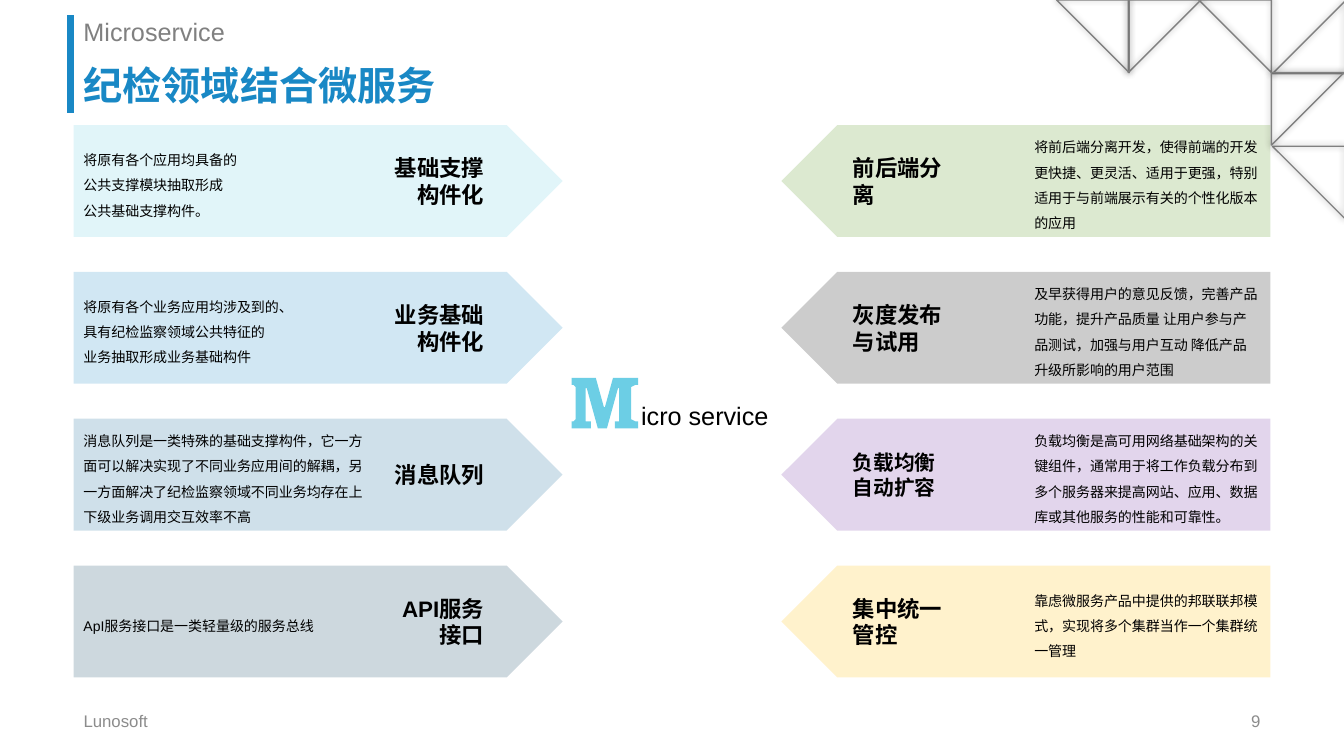
from lxml import etree
from pptx import Presentation
from pptx.dml.color import RGBColor
from pptx.enum import shapes, text
from pptx.oxml import parse_xml
from pptx.oxml.ns import nsdecls, qn
from pptx.util import Inches, Pt

BLUE, SKY, GREY, FOOTER, BLACK = "1988C5", "6CCEE5", "808080", "8C8C8C", "000000"
LEFT, RIGHT = text.PP_ALIGN.LEFT, text.PP_ALIGN.RIGHT
TOP, MIDDLE, BOTTOM = text.MSO_ANCHOR.TOP, text.MSO_ANCHOR.MIDDLE, text.MSO_ANCHOR.BOTTOM

# (colour, heading lines, heading size, description paragraphs)
LEFT_ARROWS = [
    (SKY, ["基础支撑构件化"], 16,
     ["将原有各个应用均具备的", "公共支撑模块抽取形成", "公共基础支撑构件。"]),
    (BLUE, ["业务基础构件化"], 16,
     ["将原有各个业务应用均涉及到的、", "具有纪检监察领域公共特征的", "业务抽取形成业务基础构件"]),
    ("116497", ["消息队列"], 16,
     ["消息队列是一类特殊的基础支撑构件，它一方面可以解决实现了不同业务应用间的解耦，"
      "另一方面解决了纪检监察领域不同业务均存在上下级业务调用交互效率不高"]),
    ("093C5B", ["API服务接口"], 16, ["ApI服务接口是一类轻量级的服务总线"]),
]
RIGHT_ARROWS = [
    ("549118", ["前后端分离"], 16,
     ["将前后端分离开发，使得前端的开发更快捷、更灵活、适用于更强，"
      "特别适用于与前端展示有关的个性化版本的应用"]),
    (BLACK, ["灰度发布与试用"], 16,
     ["及早获得用户的意见反馈，完善产品功能，提升产品质量 让用户参与产品测试，"
      "加强与用户互动 降低产品升级所影响的用户范围"]),
    ("7030A0", ["负载均衡", "自动扩容"], 14.8,
     ["负载均衡是高可用网络基础架构的关键组件，通常用于将工作负载分布到多个服务器"
      "来提高网站、应用、数据库或其他服务的性能和可靠性。"]),
    ("FFC000", ["集中统一管控"], 16,
     ["靠虑微服务产品中提供的邦联联邦模式，实现将多个集群当作一个集群统一管理"]),
]
# Left edges: arrow, heading, description; then description width, heading alignment, mirrored
SIDES = [
    (LEFT_ARROWS, 0.73, 3.71, 0.73, 2.97, RIGHT, False),
    (RIGHT_ARROWS, 7.75, 8.36, 10.16, 2.43, LEFT, True),
]
ROW_TOP, ROW_STEP, ARROW_W, ARROW_H = 1.24, 1.457, 4.85, 1.11

# Corner pattern: left, top, rotation
TRIANGLES = [(12.62, 0.01, 180), (11.89, 0, 90), (11.19, 0, 0),
             (10.48, 0, 90), (12.62, 1.45, 90), (12.61, 0.72, 0)]
TRIANGLE_SIZE = 0.72

# Slab letter M, in hundredths of an inch
LETTER_M = [
    (633, 382), (630, 382), (626, 384), (626, 416), (630, 418), (633, 418), (633, 425),
    (610, 425), (610, 418), (614, 418), (614, 385), (613, 385), (602, 425), (593, 425),
    (582, 385), (581, 385), (581, 418), (586, 418), (586, 425), (567, 425), (567, 418),
    (569, 418), (571, 416), (571, 384), (569, 382), (567, 382), (567, 375), (591, 375),
    (599, 404), (600, 404), (608, 375), (633, 375),
]

prs = Presentation()
prs.slide_width, prs.slide_height = Inches(13.33), Inches(7.5)
s = prs.slides.add_slide(prs.slide_layouts[6])


def rgb(value):
    return RGBColor.from_string(value)


def fill(sp, colour, alpha=None):
    """Fill without outline; alpha is the opacity in percent."""
    sp.shadow.inherit = False
    sp.fill.solid()
    sp.fill.fore_color.rgb = rgb(colour)
    sp.line.fill.background()
    if alpha:
        clr = sp._element.spPr.find(qn("a:solidFill"))[0]
        etree.SubElement(clr, qn("a:alpha")).set("val", str(alpha * 1000))


def flip(sp, axis):
    sp._element.spPr.find(qn("a:xfrm")).set("flip" + axis, "1")


def add_text(box, lines, size, colour=BLACK, bold=False, align=LEFT,
             anchor=MIDDLE, spacing=None, wrap=True):
    tf = s.shapes.add_textbox(*map(Inches, box)).text_frame
    tf.word_wrap = wrap
    tf.vertical_anchor = anchor
    for i, line in enumerate(lines):
        p = tf.paragraphs[0] if i == 0 else tf.add_paragraph()
        p.alignment = align
        if spacing:
            p.line_spacing = spacing
        r = p.add_run()
        r.text = line
        r.font.name, r.font.size, r.font.bold = "Arial", Pt(size), bold
        r.font.color.rgb = rgb(colour)


def add_triangle(left, top, rotation):
    sp = s.shapes.add_shape(shapes.MSO_SHAPE.RIGHT_TRIANGLE, Inches(left), Inches(top),
                            Inches(TRIANGLE_SIZE), Inches(TRIANGLE_SIZE))
    sp.rotation = rotation
    flip(sp, "V")
    sp.fill.background()
    sp.line.color.rgb = rgb(GREY)
    sp.line.width = Pt(1)
    sp._element.spPr.append(parse_xml(
        f'<a:effectLst {nsdecls("a")}><a:outerShdw blurRad="{Pt(5)}" dist="0" dir="0">'
        '<a:srgbClr val="000000"><a:alpha val="40000"/></a:srgbClr>'
        '</a:outerShdw></a:effectLst>'))


for triangle in TRIANGLES:
    add_triangle(*triangle)

bar = s.shapes.add_connector(shapes.MSO_CONNECTOR.STRAIGHT,
                             Inches(0.7), Inches(0.15), Inches(0.7), Inches(1.12))
bar.line.color.rgb = rgb(BLUE)
bar.line.width = Pt(5)
etree.SubElement(bar._element.spPr, qn("a:effectLst"))

add_text((0.73, 0.54, 11.87, 0.59), ["纪检领域结合微服务"], 28, BLUE, True,
         anchor=BOTTOM, spacing=0.9)
add_text((0.73, 0.15, 11.87, 0.39), ["Microservice"], 18, GREY, anchor=TOP, spacing=0.9)
add_text((0.73, 6.95, 3.18, 0.4), ["Lunosoft"], 12, FOOTER)
add_text((9.42, 6.95, 3.18, 0.4), ["9"], 12, FOOTER, align=RIGHT)

for arrows, arrow_x, head_x, desc_x, desc_w, align, mirrored in SIDES:
    for row, (colour, heading, size, description) in enumerate(arrows):
        y = ROW_TOP + row * ROW_STEP
        arrow = s.shapes.add_shape(shapes.MSO_SHAPE.PENTAGON, Inches(arrow_x), Inches(y),
                                   Inches(ARROW_W), Inches(ARROW_H))
        fill(arrow, colour, 20)
        if mirrored:
            flip(arrow, "H")
        add_text((head_x, y + 0.3, 1.19, 0.51), heading, size, bold=True,
                 align=align, wrap=False)
        add_text((desc_x, y, desc_w, ARROW_H), description, 10, spacing=1.5)

outline = s.shapes.build_freeform(*LETTER_M[0], scale=Inches(0.01))
outline.add_line_segments(LETTER_M[1:], close=True)
fill(outline.convert_to_shape(), SKY)
add_text((6.26, 3.92, 1.48, 0.4), ["icro service"], 18, anchor=TOP, wrap=False)

prs.save("out.pptx")
